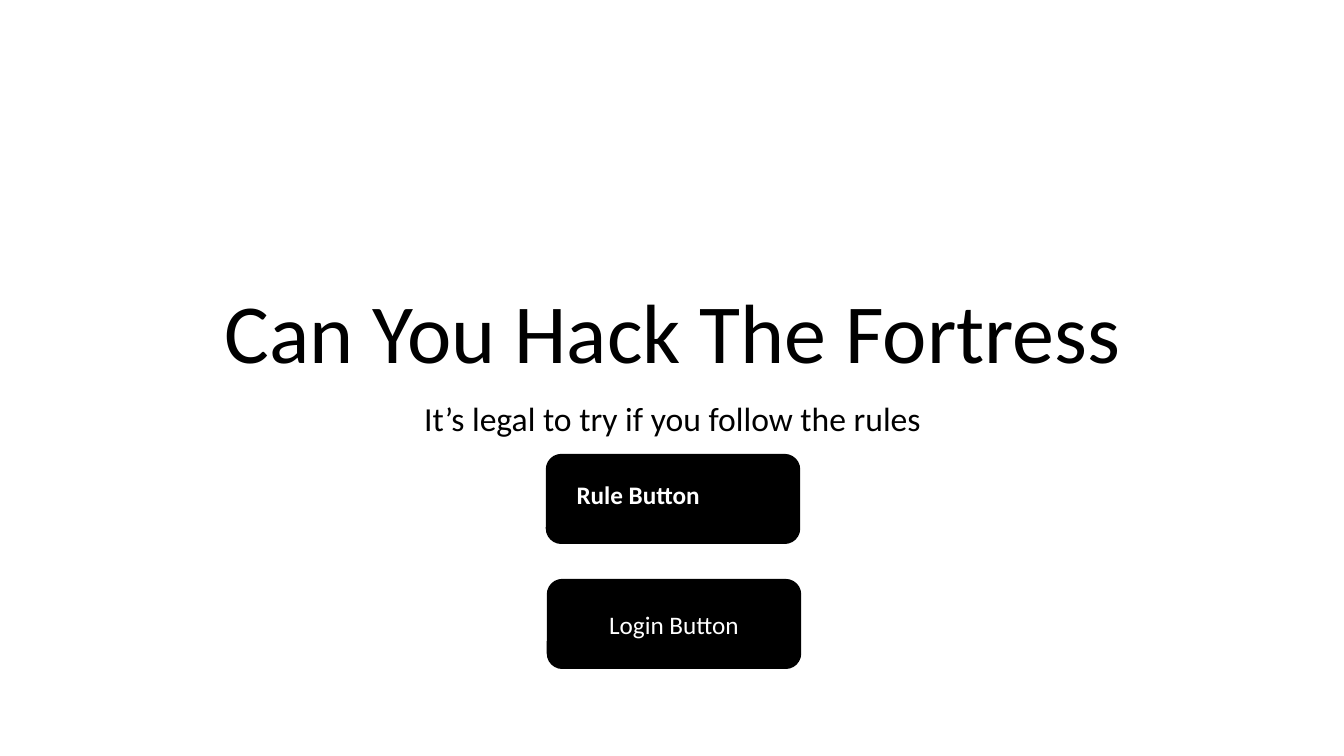
from dataclasses import dataclass

from pptx import Presentation
from pptx.dml.color import RGBColor
from pptx.enum.shapes import MSO_SHAPE
from pptx.enum.text import MSO_ANCHOR, PP_ALIGN
from pptx.util import Inches, Pt

COLORS = {"black": "000000", "white": "FFFFFF"}
FONT = "Calibri"
BUTTON_W, BUTTON_H = 2.51, 0.88


@dataclass
class Label:
    text: str
    size: int
    color: str = "black"
    bold: bool = False
    align: PP_ALIGN = PP_ALIGN.CENTER
    anchor: MSO_ANCHOR = MSO_ANCHOR.TOP
    line_spacing: float = 1.0
    space_before: int = 0


@dataclass
class TextBox:
    left: float
    top: float
    width: float
    height: float
    label: Label


@dataclass
class Button:
    left: float
    top: float
    label: Label | None = None


def rgb(name: str) -> RGBColor:
    return RGBColor.from_string(COLORS[name])


def set_attrs(obj, formats: dict) -> None:
    for name, value in formats.items():
        setattr(obj, name, value)


def write_label(tf, label: Label) -> None:
    set_attrs(tf, {"word_wrap": True, "vertical_anchor": label.anchor})
    p = tf.paragraphs[0]
    set_attrs(p, {"alignment": label.align, "line_spacing": label.line_spacing,
                  "space_before": Pt(label.space_before)})
    r = p.add_run()
    r.text = label.text
    set_attrs(r.font, {"name": FONT, "size": Pt(label.size), "bold": label.bold})
    r.font.color.rgb = rgb(label.color)


def add_text(s, box: TextBox) -> None:
    sp = s.shapes.add_textbox(Inches(box.left), Inches(box.top),
                              Inches(box.width), Inches(box.height))
    write_label(sp.text_frame, box.label)


def add_button(s, button: Button) -> None:
    sp = s.shapes.add_shape(MSO_SHAPE.ROUNDED_RECTANGLE,
                            Inches(button.left), Inches(button.top),
                            Inches(BUTTON_W), Inches(BUTTON_H))
    sp.shadow.inherit = False
    sp.fill.solid()
    sp.fill.fore_color.rgb = rgb("black")
    sp.line.color.rgb = rgb("black")
    sp.line.width = Pt(1)
    if button.label:
        write_label(sp.text_frame, button.label)


def main() -> None:
    prs = Presentation()
    set_attrs(prs, {"slide_width": Inches(13.33), "slide_height": Inches(7.5)})
    s = prs.slides.add_slide(prs.slide_layouts[6])

    # Title and subtitle
    add_text(s, TextBox(1.67, 1.23, 10, 2.61, Label(
        "Can You Hack The Fortress", 60, anchor=MSO_ANCHOR.BOTTOM, line_spacing=0.9)))
    add_text(s, TextBox(1.67, 3.94, 10, 1.81, Label(
        "It’s legal to try if you follow the rules", 24, line_spacing=0.9, space_before=10)))

    # Rule button with its separate caption
    add_button(s, Button(5.42, 4.51))
    add_text(s, TextBox(5.62, 4.71, 2.14, 0.4, Label(
        "Rule Button", 18, "white", bold=True, align=PP_ALIGN.LEFT)))

    # Login button
    add_button(s, Button(5.43, 5.75, Label(
        "Login Button", 18, "white", anchor=MSO_ANCHOR.MIDDLE)))

    prs.save("out.pptx")


if __name__ == "__main__":
    main()
